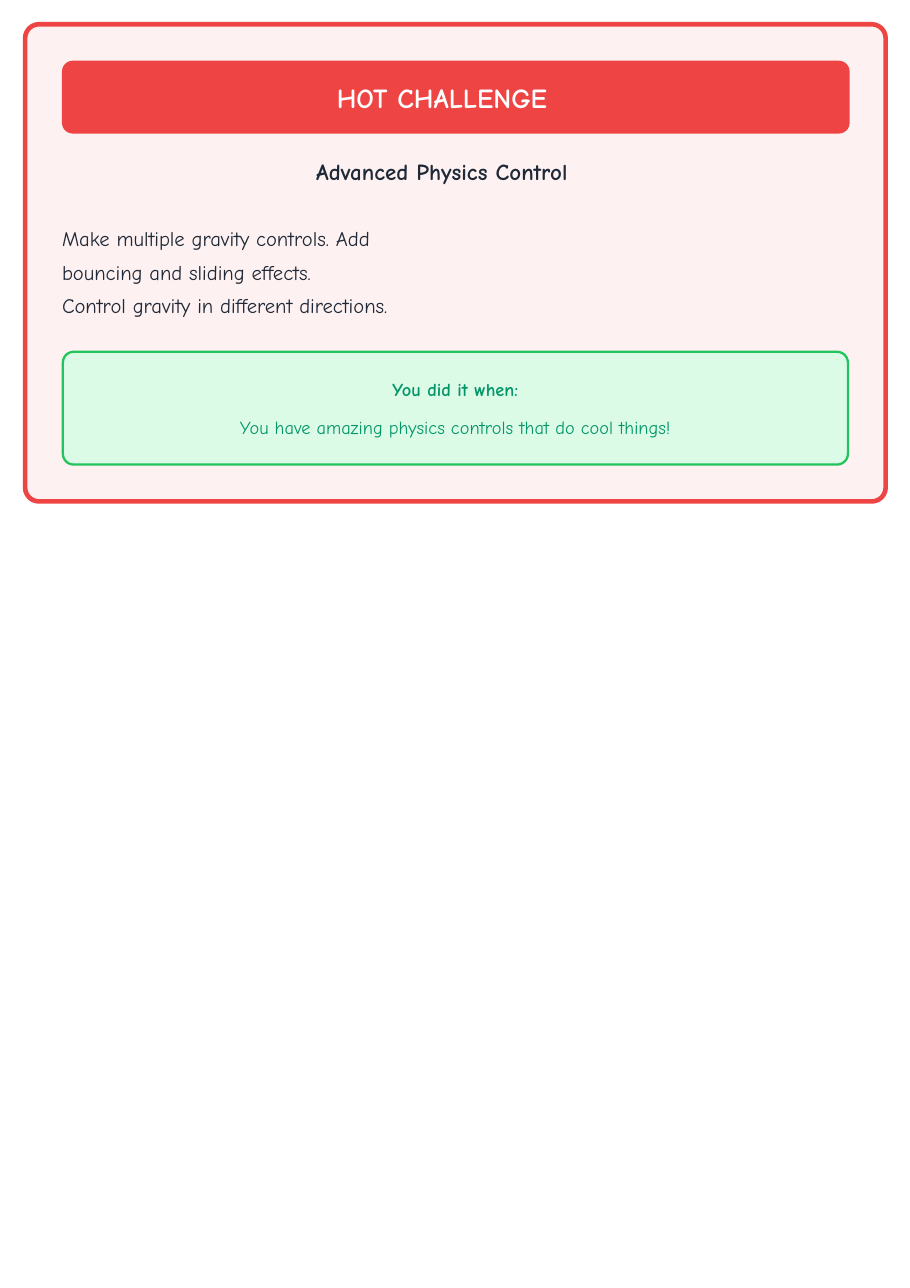
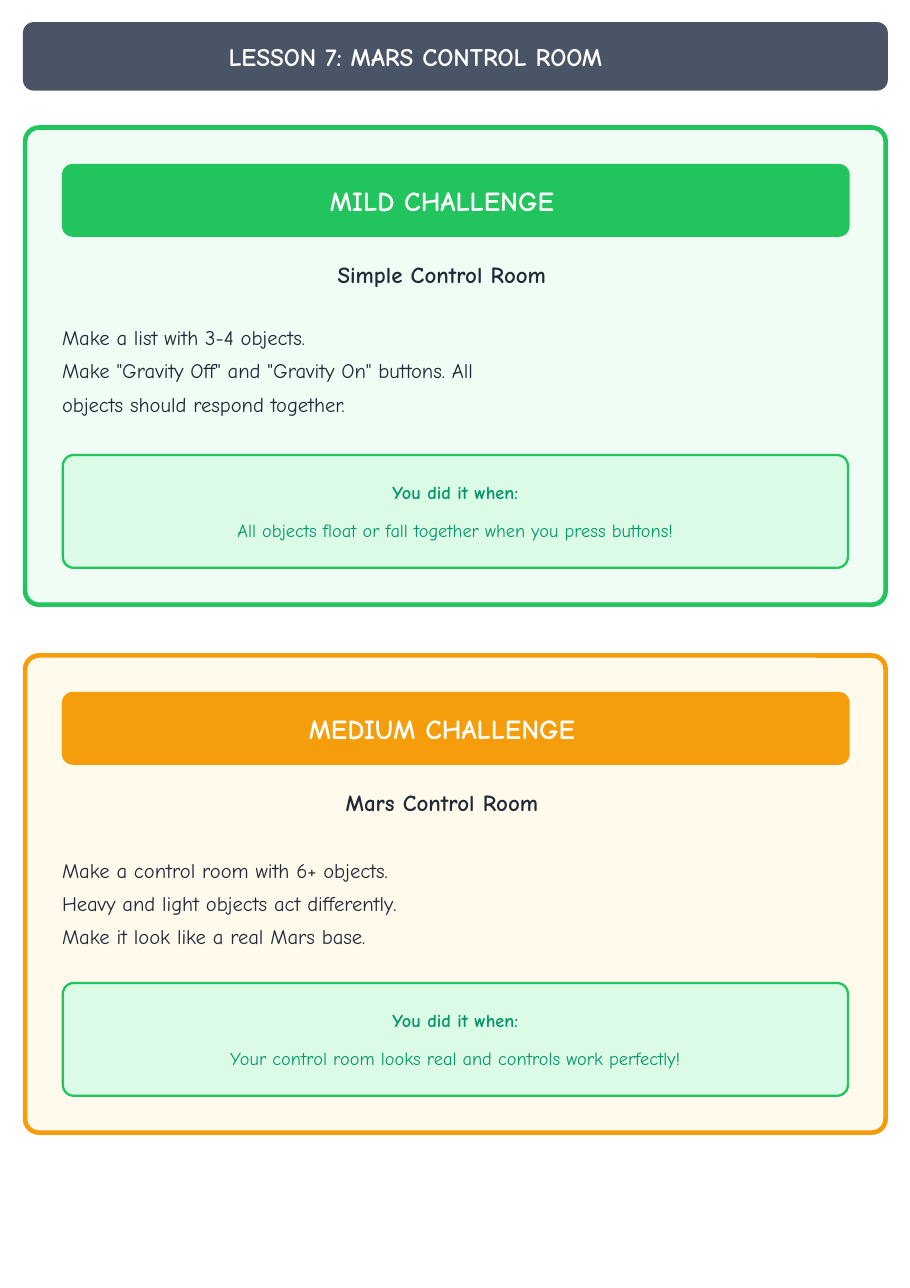
from collections import namedtuple

from lxml import etree
from pptx import Presentation
from pptx.dml.color import RGBColor
from pptx.enum.shapes import MSO_SHAPE
from pptx.enum.text import MSO_ANCHOR, MSO_AUTO_SIZE, PP_ALIGN
from pptx.oxml.ns import qn
from pptx.util import Cm, Pt

ROUNDED = MSO_SHAPE.ROUNDED_RECTANGLE
LEFT, CENTER = PP_ALIGN.LEFT, PP_ALIGN.CENTER
TOP, MIDDLE = MSO_ANCHOR.TOP, MSO_ANCHOR.MIDDLE
NO_AUTOFIT = MSO_AUTO_SIZE.NONE

# Shared style
FONT = "Comic Neue"
WHITE = RGBColor(0xFF, 0xFF, 0xFF)
INK = RGBColor(0x1F, 0x29, 0x37)
SLATE = RGBColor(0x4A, 0x54, 0x67)
RED = RGBColor(0xEF, 0x44, 0x44)
RED_TINT = RGBColor(0xFE, 0xF1, 0xF1)
GREEN = RGBColor(0x21, 0xC4, 0x5D)
GREEN_TINT = RGBColor(0xF0, 0xFD, 0xF4)
AMBER = RGBColor(0xF5, 0x9D, 0x0A)
AMBER_TINT = RGBColor(0xFF, 0xFA, 0xEB)
SUCCESS_TINT = RGBColor(0xDB, 0xFB, 0xE7)
SUCCESS_INK = RGBColor(0x04, 0x95, 0x69)

# Card geometry in centimetres
CARD_LEFT, CARD_WIDTH, CARD_HEIGHT = 0.58, 19.84, 11.0
INNER_LEFT, INNER_WIDTH = 1.43, 18.16
HEADING_SHIFT = 0.64  # right inset that sets headings left of the middle

Challenge = namedtuple(
    "Challenge", "level color tint heading tasks task_offset task_width success")

HOT = Challenge(
    "HOT CHALLENGE", RED, RED_TINT, "Advanced Physics Control",
    ["Make multiple gravity controls. Add bouncing and sliding effects.",
     "Control gravity in different directions."], 4.46, 8.3,
    "You have amazing physics controls that do cool things!")
MILD = Challenge(
    "MILD CHALLENGE", GREEN, GREEN_TINT, "Simple Control Room",
    ["Make a list with 3-4 objects.",
     'Make "Gravity Off" and "Gravity On" buttons. '
     "All objects should respond together."], 4.36, 10.2,
    "All objects float or fall together when you press buttons!")
MEDIUM = Challenge(
    "MEDIUM CHALLENGE", AMBER, AMBER_TINT, "Mars Control Room",
    ["Make a control room with 6+ objects. Heavy and light objects act "
     "differently. Make it look like a real Mars base."], 4.46, 8.3,
    "Your control room looks real and controls work perfectly!")


def add_panel(slide, box, fill, radius, line=None, line_width=0):
    """Rounded rectangle with a corner radius in centimetres."""
    panel = slide.shapes.add_shape(ROUNDED, *map(Cm, box))
    panel.adjustments[0] = radius / box[3]
    panel.shadow.inherit = False
    panel.fill.solid()
    panel.fill.fore_color.rgb = fill
    if line is None:
        panel.line.fill.background()
    else:
        panel.line.color.rgb = line
        panel.line.width = Pt(line_width)
    return panel


def place(slide, holder, box):
    """Move a placeholder to its box, in front of what is drawn so far."""
    holder.left, holder.top, holder.width, holder.height = map(Cm, box)
    slide.shapes.element.append(holder.element)
    return holder


def write(shape, lines, size, color, bold=True, align=CENTER, anchor=MIDDLE,
          right_inset=0, spacing=1.0):
    """Fill a shape with one paragraph per line, without bullets."""
    frame = shape.text_frame
    frame.word_wrap = True
    frame.auto_size = NO_AUTOFIT
    frame.vertical_anchor = anchor
    frame.margin_left = frame.margin_top = frame.margin_bottom = 0
    frame.margin_right = Cm(right_inset)
    frame.text = "\n".join(lines)
    for paragraph in frame.paragraphs:
        properties = paragraph._p.get_or_add_pPr()
        properties.set("marL", "0")
        properties.set("indent", "0")
        etree.SubElement(properties, qn("a:buNone"))
        paragraph.alignment = align
        paragraph.line_spacing = spacing
        paragraph.space_before = Pt(0)
        font = paragraph.font
        font.name, font.size, font.bold = FONT, Pt(size), bold
        font.color.rgb = color
    return frame


def add_banner(slide, box, text, fill, size, shift, title=None):
    """Coloured bar; its text goes in the title placeholder if one is given."""
    bar = add_panel(slide, box, fill, 0.25)
    target = place(slide, title, box) if title is not None else bar
    write(target, [text], size, WHITE, right_inset=shift)


def add_card(slide, top, challenge, body, title=None):
    add_panel(slide, (CARD_LEFT, top, CARD_WIDTH, CARD_HEIGHT),
              challenge.tint, 0.32, challenge.color, 3)
    add_banner(slide, (INNER_LEFT, top + 0.84, INNER_WIDTH, 1.68),
               challenge.level, challenge.color, 18, HEADING_SHIFT, title)

    # Heading and tasks
    heading = slide.shapes.add_textbox(
        Cm(INNER_LEFT), Cm(top + 3.07), Cm(INNER_WIDTH), Cm(0.7))
    write(heading, [challenge.heading], 15, INK, anchor=TOP,
          right_inset=HEADING_SHIFT)
    place(slide, body, (INNER_LEFT, top + challenge.task_offset,
                        challenge.task_width, 2.4))
    write(body, challenge.tasks, 13.5, INK, bold=False, align=LEFT,
          anchor=TOP, spacing=1.34)

    # Success box
    success = add_panel(slide, (1.45, top + 7.55, 18.1, 2.6),
                        SUCCESS_TINT, 0.25, GREEN, 1.5)
    frame = write(success, ["You did it when:", challenge.success],
                  12, SUCCESS_INK)
    goal = frame.paragraphs[1]
    goal.font.bold = False
    goal.space_before = Pt(10.3)


def main():
    deck = Presentation()
    deck.slide_width, deck.slide_height = Cm(20.98), Cm(29.69)
    one_body, two_bodies = deck.slide_layouts[1], deck.slide_layouts[3]

    # Slide 1: hot challenge
    slide = deck.slides.add_slide(one_body)
    title, body = slide.placeholders
    add_card(slide, 0.56, HOT, body, title)

    # Slide 2: lesson header, mild and medium challenges
    slide = deck.slides.add_slide(two_bodies)
    title, mild_body, medium_body = slide.placeholders
    add_banner(slide, (0.53, 0.51, 19.94, 1.58),
               "LESSON 7: MARS CONTROL ROOM", SLATE, 16.5, 1.85, title)
    add_card(slide, 2.94, MILD, mild_body)
    add_card(slide, 15.11, MEDIUM, medium_body)

    deck.save("out.pptx")


if __name__ == "__main__":
    main()
